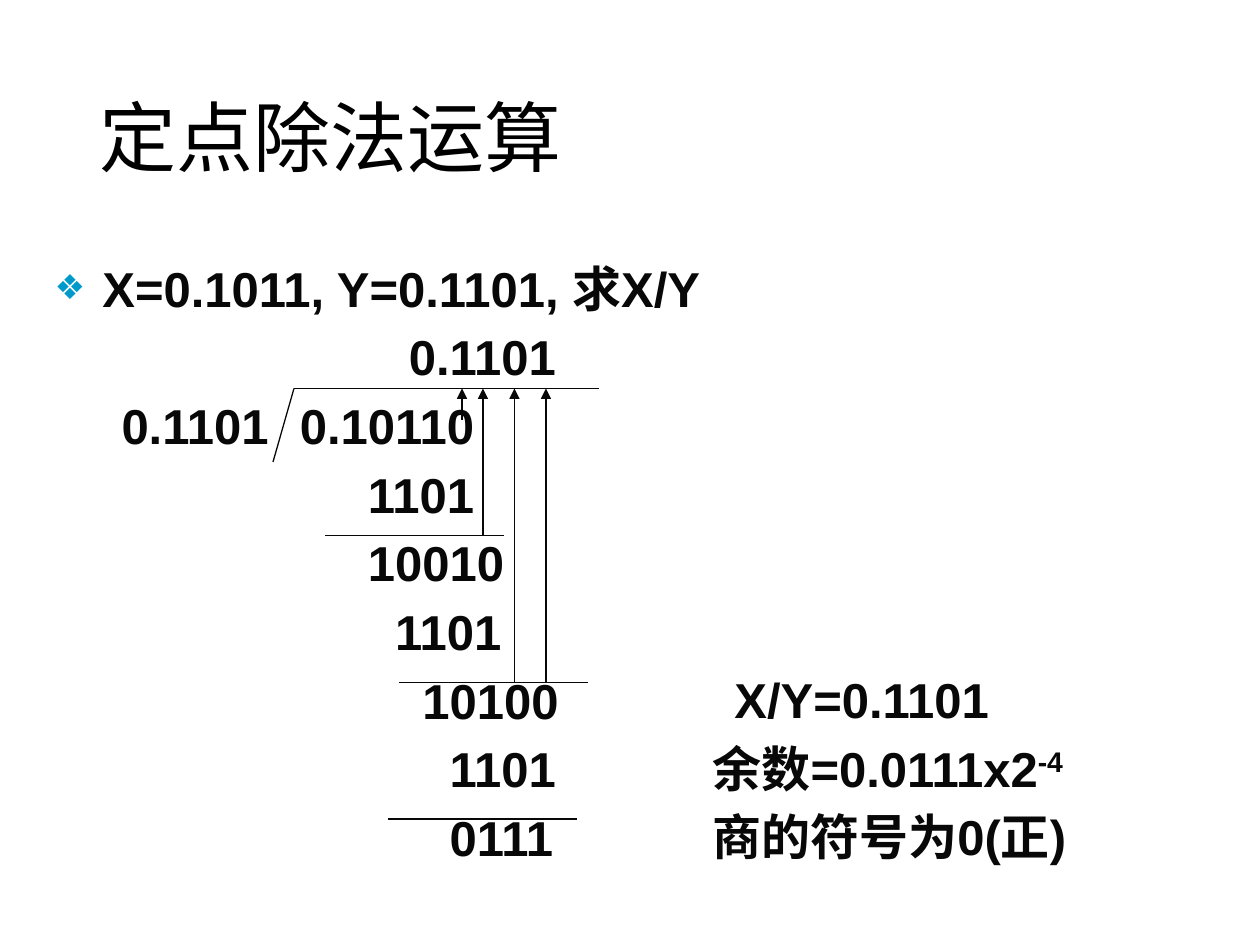
import pptx
import pptx.util
import pptx.dml.color
import pptx.enum.shapes
import pptx.enum.text
import pptx.oxml
import pptx.oxml.ns

HUES = {"title": "000000", "ink": "080808", "mark": "0099CC"}
NS = pptx.oxml.ns.nsdecls("a")
CELL = pptx.util.Inches(1) / 12
STEP = pptx.util.Pt(28) * 0.278
PITCH = 6.53

HEAD = "X=0.1011, Y=0.1101, 求X/Y"
ROWS = [(26, "0.1101"), (18, "0.10110"), (23, "1101"), (23, "10010"),
        (25, "1101"), (27, "10100"), (29, "1101"), (29, "0111")]
DIVISOR = [(0, "0.1101")]
RESULT = [(1.6, "X/Y=0.1101"), (0, "余数=0.0111x2"), (0, "商的符号为0(正)")]
POWER = "-4"
RULES = [(2, 0, 31, 0), (2, 0, 0, 7), (5, 14, 22, 14),
         (12, 28, 30, 28), (11, 41, 29, 41)]
RISES = [(18, 3), (20, 14), (23, 28), (26, 28)]


def tint(hue):
    return pptx.dml.color.RGBColor.from_string(HUES[hue])


def scale(box):
    return [round(n * CELL) for n in box]


def place(shape, box):
    shape.left, shape.top, shape.width, shape.height = scale(box)


def style(para, name, size, hue, bold):
    para.font.name = name
    para.font.size = pptx.util.Pt(size)
    para.font.bold = bold
    para.font.color.rgb = tint(hue)


def add_xml(node, text):
    node.append(pptx.oxml.parse_xml(text))


def set_row(para, text, col, gap):
    para.add_run().text = text
    para.space_before = pptx.util.Pt(gap)
    props = para._p.get_or_add_pPr()
    props.set("marL", str(round(col * STEP)))
    props.set("indent", "0")
    add_xml(props, f"<a:buNone {NS}/>")
    style(para, "Arial", 28, "ink", True)


def draw_title(shape, box):
    place(shape, box)
    frame = shape.text_frame
    frame.text = "定点除法运算"
    frame.vertical_anchor = pptx.enum.text.MSO_ANCHOR.MIDDLE
    para = frame.paragraphs[0]
    para.alignment = pptx.enum.text.PP_ALIGN.LEFT
    para.line_spacing = 0.9
    style(para, "Calibri", 44, "title", False)


def draw_body(shape, box):
    place(shape, box)
    frame = shape.text_frame
    frame.word_wrap = True
    frame.auto_size = pptx.enum.text.MSO_AUTO_SIZE.NONE
    frame.text = HEAD
    para = frame.paragraphs[0]
    para.space_before = pptx.util.Pt(0)
    props = para._p.get_or_add_pPr()
    props.set("marL", str(pptx.util.Inches(0.38)))
    props.set("indent", str(pptx.util.Inches(-0.38)))
    add_xml(props, f'<a:buClr {NS}><a:srgbClr val="{HUES["mark"]}"/></a:buClr>')
    add_xml(props, f'<a:buSzPct {NS} val="70000"/>')
    add_xml(props, f'<a:buChar {NS} char="❖"/>')
    style(para, "Arial", 28, "ink", True)
    for col, text in ROWS:
        set_row(frame.add_paragraph(), text, col, 5.6)


def draw_note(slide, box, rows):
    frame = slide.shapes.add_textbox(*scale(box)).text_frame
    frame.word_wrap = True
    for index, (col, text) in enumerate(rows):
        para = frame.add_paragraph() if index else frame.paragraphs[0]
        set_row(para, text, col, 5.6 if index else 0)
    return frame


def draw_result(slide, box):
    run = draw_note(slide, box, RESULT).paragraphs[1].add_run()
    run.text = POWER
    run._r.get_or_add_rPr().set("baseline", "30000")


def draw_line(slide, ends, tip=False):
    line = slide.shapes.add_connector(
        pptx.enum.shapes.MSO_CONNECTOR.STRAIGHT, *scale(ends))
    line.line.color.rgb = tint("ink")
    line.line.width = pptx.util.Pt(0.75)
    if tip:
        add_xml(line.line._get_or_add_ln(), f'<a:tailEnd {NS} type="triangle"/>')
    add_xml(line._element.spPr, f"<a:effectLst {NS}/>")


def draw_work(slide, left, top):
    for x1, y1, x2, y2 in RULES:
        draw_line(slide, (left + x1, top + y1, left + x2, top + y2))
    for col, drop in RISES:
        draw_line(slide, (left + col, top + drop, left + col, top), True)


def main():
    deck = pptx.Presentation()
    deck.slide_width = pptx.util.Inches(10)
    deck.slide_height = pptx.util.Inches(7.5)
    slide = deck.slides.add_slide(deck.slide_layouts[1])
    draw_title(slide.shapes.title, (8.25, 4.8, 103.5, 17.4))
    draw_body(slide.placeholders[1], (4, 24, 112, 61))
    draw_note(slide, (10.4, 24 + 2 * PITCH, 18, PITCH), DIVISOR)
    draw_result(slide, (66.7, 24 + 6 * PITCH, 49, 3 * PITCH))
    draw_work(slide, 26, 37)
    deck.save("out.pptx")


if __name__ == "__main__":
    main()
